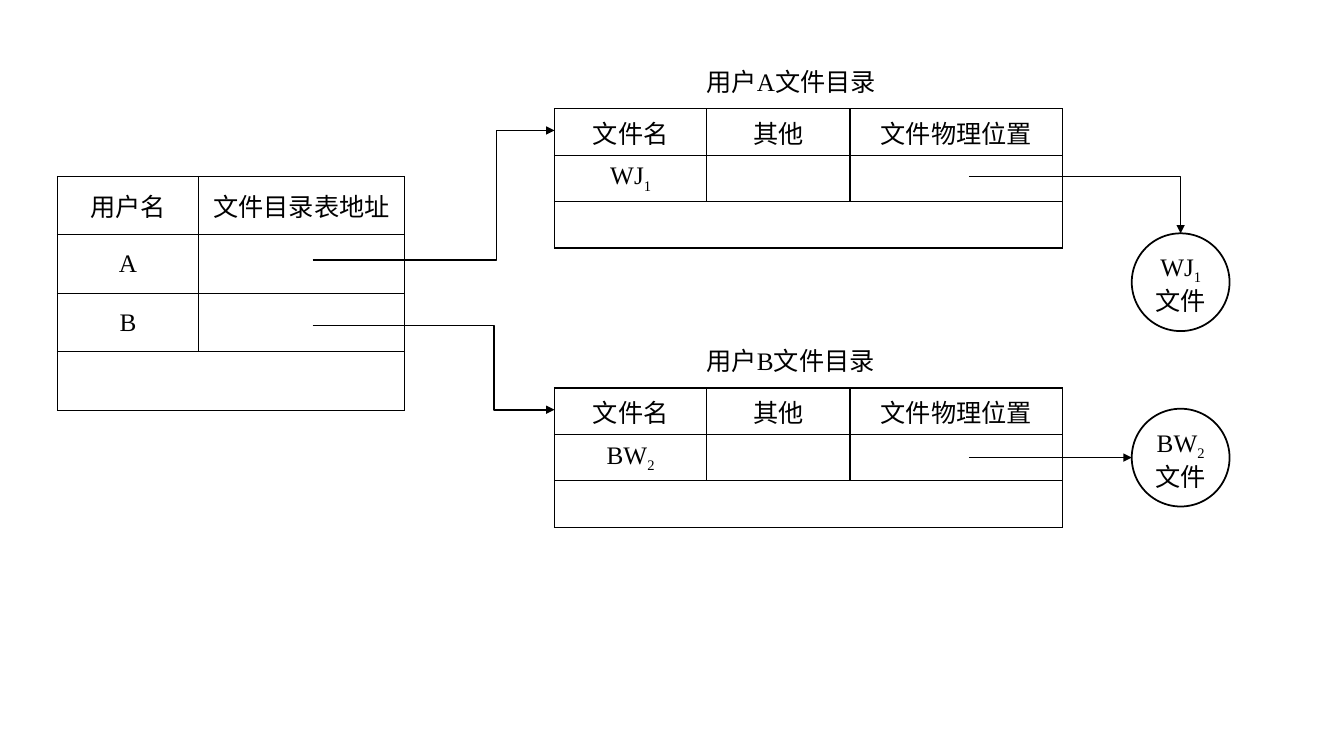
import itertools

import pptx
import pptx.dml.color
import pptx.enum.shapes
import pptx.enum.text
import pptx.oxml.ns
import pptx.util
from lxml import etree

COLORS = {"ink": "000000"}
FONTS = {"cjk": "Noto Sans CJK SC", "latin": "Times New Roman", "sub": "Times New Roman"}
CENTER = pptx.enum.text.PP_ALIGN.CENTER
LEFT = pptx.enum.text.PP_ALIGN.LEFT
CONNECTOR = pptx.enum.shapes.MSO_CONNECTOR


def apply(target, values):
    for name, value in values.items():
        setattr(target, name, value)


def add_xml(parent, tag, **attributes):
    return etree.SubElement(parent, pptx.oxml.ns.qn(tag), attributes)


def script_of(char):
    """Digits are subscripts; other ASCII letters are Latin."""
    if char.isdigit():
        return "sub"
    return "latin" if char.isascii() else "cjk"


class Diagram:
    """Style and current slide; lengths count grid cells of 0.1 inch."""

    ink = pptx.dml.color.RGBColor.from_string(COLORS["ink"])
    text_size = pptx.util.Pt(18)
    line_width = pptx.util.Pt(1.25)
    border_width = pptx.util.Pt(1)

    def __init__(self, slide):
        self.slide = slide

    def grid(self, *cells):
        return [pptx.util.Inches(cell / 10) for cell in cells]

    def fill_text(self, frame, text, align):
        for index, line in enumerate(text.split("\n")):
            paragraph = frame.add_paragraph() if index else frame.paragraphs[0]
            paragraph.alignment = align
            for script, chars in itertools.groupby(line, script_of):
                run = paragraph.add_run()
                run.text = "".join(chars)
                apply(run.font, {"size": self.text_size, "name": FONTS[script]})
                run.font.color.rgb = self.ink
                properties = run._r.get_or_add_rPr()
                add_xml(properties, "a:ea", typeface=FONTS[script])
                if script == "sub":
                    properties.set("baseline", "-25000")

    def label(self, left, top, width, height, text, align=LEFT):
        box = self.slide.shapes.add_textbox(*self.grid(left, top, width, height))
        apply(box.text_frame, {"word_wrap": True,
                               "auto_size": pptx.enum.text.MSO_AUTO_SIZE.SHAPE_TO_FIT_TEXT})
        self.fill_text(box.text_frame, text, align)

    def border(self, cell):
        properties = cell._tc.get_or_add_tcPr()
        for side in "LRTB":
            edge = add_xml(properties, f"a:ln{side}", w=str(self.border_width))
            add_xml(add_xml(edge, "a:solidFill"), "a:srgbClr", val=COLORS["ink"])
        cell.fill.background()

    def table(self, left, top, columns, row_height, rows):
        """Draw the rows, then one empty row merged across all columns."""
        row_count = len(rows) + 1
        frame = self.slide.shapes.add_table(
            row_count, len(columns),
            *self.grid(left, top, sum(columns), row_height * row_count))
        table = frame.table
        apply(table, {"first_row": False, "horz_banding": False})
        for column, width in zip(table.columns, self.grid(*columns)):
            column.width = width
        for row in table.rows:
            row.height, = self.grid(row_height)
            for cell in row.cells:
                cell.vertical_anchor = pptx.enum.text.MSO_ANCHOR.MIDDLE
                self.border(cell)
        for row, texts in zip(table.rows, rows):
            for cell, text in zip(row.cells, texts):
                if text:
                    self.fill_text(cell.text_frame, text, CENTER)
        last = row_count - 1
        table.cell(last, 0).merge(table.cell(last, len(columns) - 1))

    def circle(self, center_x, center_y, diameter, text):
        corner = center_x - diameter / 2, center_y - diameter / 2
        circle = self.slide.shapes.add_shape(
            pptx.enum.shapes.MSO_SHAPE.OVAL, *self.grid(*corner, diameter, diameter))
        circle.shadow.inherit = False
        circle.fill.background()
        apply(circle.line, {"width": self.line_width})
        circle.line.color.rgb = self.ink
        inset = 1.3
        side = diameter - 2 * inset
        self.label(corner[0] + inset, corner[1] + inset, side, side, text, CENTER)

    def arrow(self, start, end, kind=CONNECTOR.STRAIGHT, preset=None, bend=None):
        arrow = self.slide.shapes.add_connector(kind, *self.grid(*start, *end))
        apply(arrow.line, {"width": self.line_width})
        arrow.line.color.rgb = self.ink
        properties = arrow._element.spPr
        add_xml(properties.get_or_add_ln(), "a:tailEnd", type="triangle")
        add_xml(properties, "a:effectLst")
        geometry = properties.find(pptx.oxml.ns.qn("a:prstGeom"))
        if preset:
            geometry.set("prst", preset)
        if bend:
            guides = geometry.find(pptx.oxml.ns.qn("a:avLst"))
            add_xml(guides, "a:gd", name="adj1", fmla=f"val {round(bend * 100000)}")


def main():
    deck = pptx.Presentation()
    apply(deck, {"slide_width": pptx.util.Inches(13.33),
                 "slide_height": pptx.util.Inches(7.5)})
    diagram = Diagram(deck.slides.add_slide(deck.slide_layouts[6]))

    # Main directory of users
    diagram.table(5.7, 17.5, [14, 20.4], 5.8,
                  [["用户名", "文件目录表地址"], ["A", ""], ["B", ""]])

    # One file directory per user, with its address pointer and its file
    directory_left, file_x, diameter = 55, 117.1, 9.7
    directories = [
        # user, file, table top, address pointer y, bend, file pointer y, file centre y
        ("A", "WJ1", 10.8, 25.8, 0.76, 17.5, 28),
        ("B", "BW2", 38.5, 32.3, 0.75, 45.4, 45.4),
    ]
    for user, file, top, address_y, bend, location_y, file_y in directories:
        diagram.label(69.1, top - 4.7, 20, 4, f"用户{user}文件目录")
        diagram.table(directory_left, top, [15.1, 14.2, 21.1], 4.6,
                      [["文件名", "其他", "文件物理位置"], [file, "", ""]])
        diagram.arrow((31, address_y), (directory_left, top + 2.15),
                      CONNECTOR.ELBOW, bend=bend)
        diagram.circle(file_x, file_y, diameter, f"{file}\n文件")
        location = (96.1, location_y)
        if location_y == file_y:
            diagram.arrow(location, (file_x - diameter / 2, file_y))
        else:
            diagram.arrow(location, (file_x, file_y - diameter / 2),
                          CONNECTOR.ELBOW, preset="bentConnector2")

    deck.save("out.pptx")


if __name__ == "__main__":
    main()
